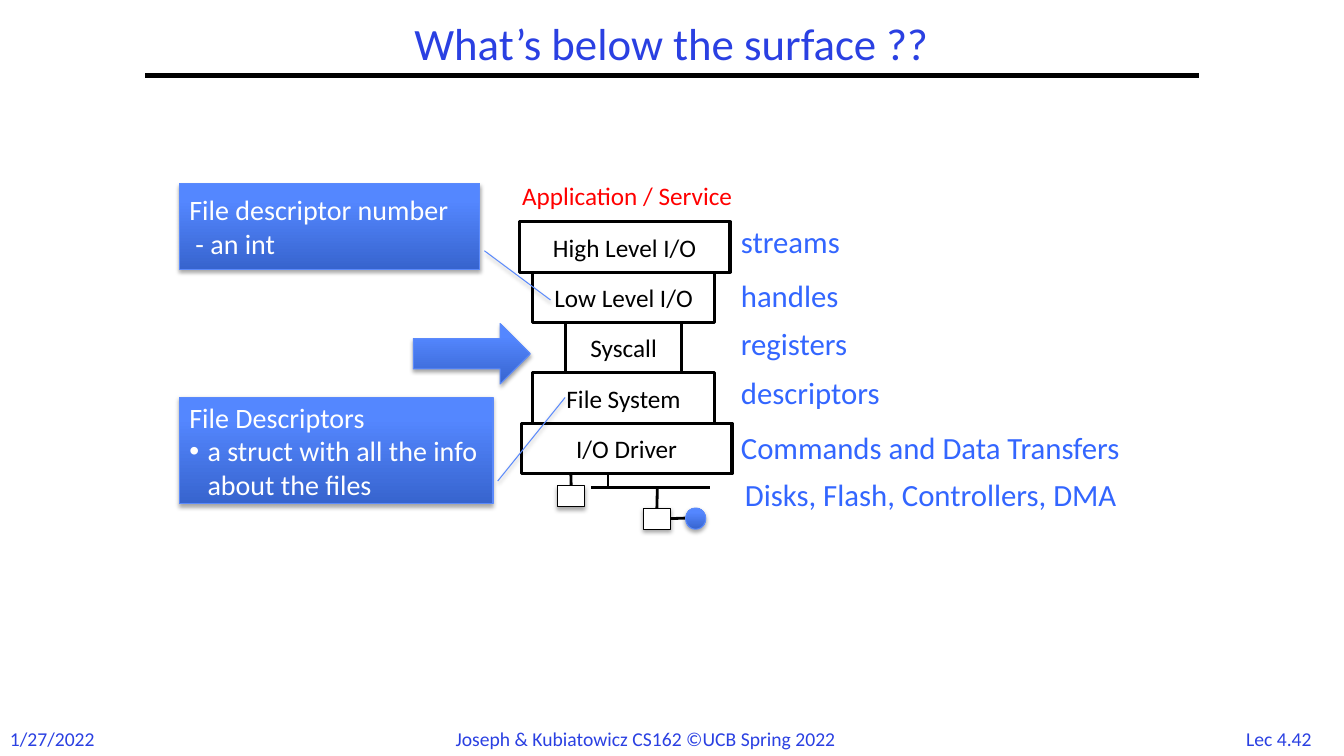
from lxml import etree
from pptx import Presentation, util as u
from pptx.dml.color import RGBColor
from pptx.enum import shapes as s, text as t
from pptx.oxml import ns

BLACK = RGBColor(0, 0, 0)
WHITE = RGBColor(255, 255, 255)
RED = RGBColor(255, 0, 0)
NAVY = RGBColor(0x2A, 0x40, 0xE2)
BLUE = RGBColor(0x33, 0x66, 0xFF)
EDGE = RGBColor(0x5B, 0x8A, 0xFB)
DARK = RGBColor(0x37, 0x64, 0xCE)
LIGHT = RGBColor(0x54, 0x87, 0xFF)
FONT = "Calibri"

# Square grid: 75 rows down the slide
WIDE, HIGH = u.Inches(13.33), u.Inches(7.5)
CELL = HIGH / 75

# Layer stack: middle column and row height
MID, TOP, ROW = 61.85, 22, 5
LAYERS = [("High Level I/O", 51.5, 20.9), ("Low Level I/O", 52.8, 18.1),
          ("Syscall", 56.1, 11.5), ("File System", 52.8, 18.1),
          ("I/O Driver", 51.7, 20.9)]
TERMS = [("streams", 72.5, 21.6), ("handles", 72.5, 27),
         ("registers", 72.5, 31.7), ("descriptors", 72.5, 36.6),
         ("Commands and Data Transfers", 72.5, 42),
         ("Disks, Flash, Controllers, DMA", 72.9, 46.7)]
FOOT = [("1/27/2022", 0, 12, t.PP_ALIGN.LEFT),
        ("Joseph & Kubiatowicz CS162 ©UCB Spring 2022", 44.2, 45, t.PP_ALIGN.LEFT),
        ("Lec 4.42", 122, 9.7, t.PP_ALIGN.CENTER)]


def grid(*cells):
    return [u.Emu(round(c * CELL)) for c in cells]


def write(frame, words, size, color, align=t.PP_ALIGN.LEFT):
    frame.word_wrap = True
    frame.text = words
    for para in frame.paragraphs:
        para.alignment = align
        for run in para.runs:
            run.font.name, run.font.size = FONT, u.Pt(size)
            run.font.color.rgb = color


def label(page, words, box, size, color, align=t.PP_ALIGN.LEFT):
    item = page.shapes.add_textbox(*grid(*box))
    write(item.text_frame, words, size, color, align)


def block(page, kind, box, line, width):
    item = page.shapes.add_shape(kind, *grid(*box))
    item.shadow.inherit = False
    item.fill.solid()
    item.fill.fore_color.rgb = WHITE
    item.line.color.rgb = line
    item.line.width = u.Pt(width)
    item.text_frame.vertical_anchor = t.MSO_ANCHOR.MIDDLE
    return item


def shade(item):
    """Soft shadow straight below the shape."""
    fx = item.element.spPr.find(ns.qn("a:effectLst"))
    drop = etree.SubElement(fx, ns.qn("a:outerShdw"), blurRad=str(u.Pt(3.1)),
                            dist=str(u.Pt(1.8)), dir="5400000", rotWithShape="0")
    tint = etree.SubElement(drop, ns.qn("a:srgbClr"), val="000000")
    etree.SubElement(tint, ns.qn("a:alpha"), val="35000")


def glossy(page, kind, box):
    item = block(page, kind, box, EDGE, 0.75)
    item.fill.gradient()
    item.fill.gradient_angle = 90
    for stop, color, spot in zip(item.fill.gradient_stops, (DARK, LIGHT), (0, 0.8)):
        stop.color.rgb, stop.position = color, spot
    shade(item)
    return item


def device(page, left, top):
    item = block(page, s.MSO_SHAPE.RECTANGLE, (left, top, 2.7, 2.1), BLACK, 0.75)
    shade(item)
    return item


def wire(page, ends, width=2):
    item = page.shapes.add_connector(s.MSO_CONNECTOR.STRAIGHT, *grid(*ends))
    item.line.color.rgb = BLACK
    item.line.width = u.Pt(width)
    etree.SubElement(item.element.spPr, ns.qn("a:effectLst"))
    return item


def callout(page, words, box, tail):
    item = glossy(page, s.MSO_SHAPE.LINE_CALLOUT_1, box)
    for i, spot in enumerate((0.786, 1.015, *tail)):
        item.adjustments[i] = spot
    write(item.text_frame, words, 20, WHITE)
    return item.text_frame.paragraphs[-1]


def indent(para, left, hang=0, mark=None):
    props = para._p.get_or_add_pPr()
    props.set("marL", str(u.Inches(left)))
    props.set("indent", str(u.Inches(-hang)))
    if mark:
        etree.SubElement(props, ns.qn("a:buFont"), typeface="Arial")
        etree.SubElement(props, ns.qn("a:buChar"), char=mark)


def frame(page):
    # Title, rule and footer
    title = page.shapes.title
    title.left, title.top, title.width, title.height = grid(14.4, 1.7, 104.4, 5.8)
    write(title.text_frame, "What’s below the surface ??", 32, NAVY, t.PP_ALIGN.CENTER)
    title.text_frame.vertical_anchor = t.MSO_ANCHOR.MIDDLE
    title.text_frame.paragraphs[0].line_spacing = 0.9
    wire(page, (14.4, 7.5, 118.9, 7.5), 3)
    for words, left, width, align in FOOT:
        label(page, words, (left, 71.6, width, 3.4), 14, NAVY, align)


def bus(page):
    # Devices hanging below the driver
    wire(page, (58.6, 48.4, 70.4, 48.4))
    wire(page, (60.3, 46.5, 60.3, 48.4))
    disk = device(page, 63.8, 50.4)
    wire(page, (65.2, 48.4, 65.2, 50.4)).end_connect(disk, 0)
    wire(page, (66.5, 51.4, 68, 51.4)).begin_connect(disk, 3)
    glossy(page, s.MSO_SHAPE.OVAL, (68, 50.4, 2, 2.1))
    flash = device(page, 55.3, 48.2)
    wire(page, (56.6, 46.3, 56.6, 48.2)).end_connect(flash, 0)


def stack(page):
    # Layers, upper ones in front
    for i, (words, left, width) in reversed(list(enumerate(LAYERS))):
        item = block(page, s.MSO_SHAPE.RECTANGLE,
                     (left, TOP + i * ROW, width, ROW), BLACK, 2.25)
        write(item.text_frame, words, 18, BLACK, t.PP_ALIGN.CENTER)
    label(page, "Application / Service", (50.8, 17.4, 24.9, 4), 18, RED)
    for words, left, top in TERMS:
        label(page, words, (left, top, 45, 4.7), 22, BLUE)


def notes(page):
    # Arrow and callouts on the left
    glossy(page, s.MSO_SHAPE.RIGHT_ARROW, (41, 32.1, 11.6, 6))
    last = callout(page, "File descriptor number\n- an int",
                   (17.8, 18.2, 29.8, 8.5), (1.36, 1.235))
    indent(last, 0.06)
    last = callout(page, "File Descriptors\na struct with all the info about the files",
                   (17.8, 39.4, 31.1, 10.6), (0.004, 1.23))
    indent(last, 0.18, 0.18, "•")


def main():
    deck = Presentation()
    deck.slide_width, deck.slide_height = WIDE, HIGH
    page = deck.slides.add_slide(deck.slide_layouts[5])
    frame(page)
    bus(page)
    stack(page)
    notes(page)
    deck.save("out.pptx")


if __name__ == "__main__":
    main()
